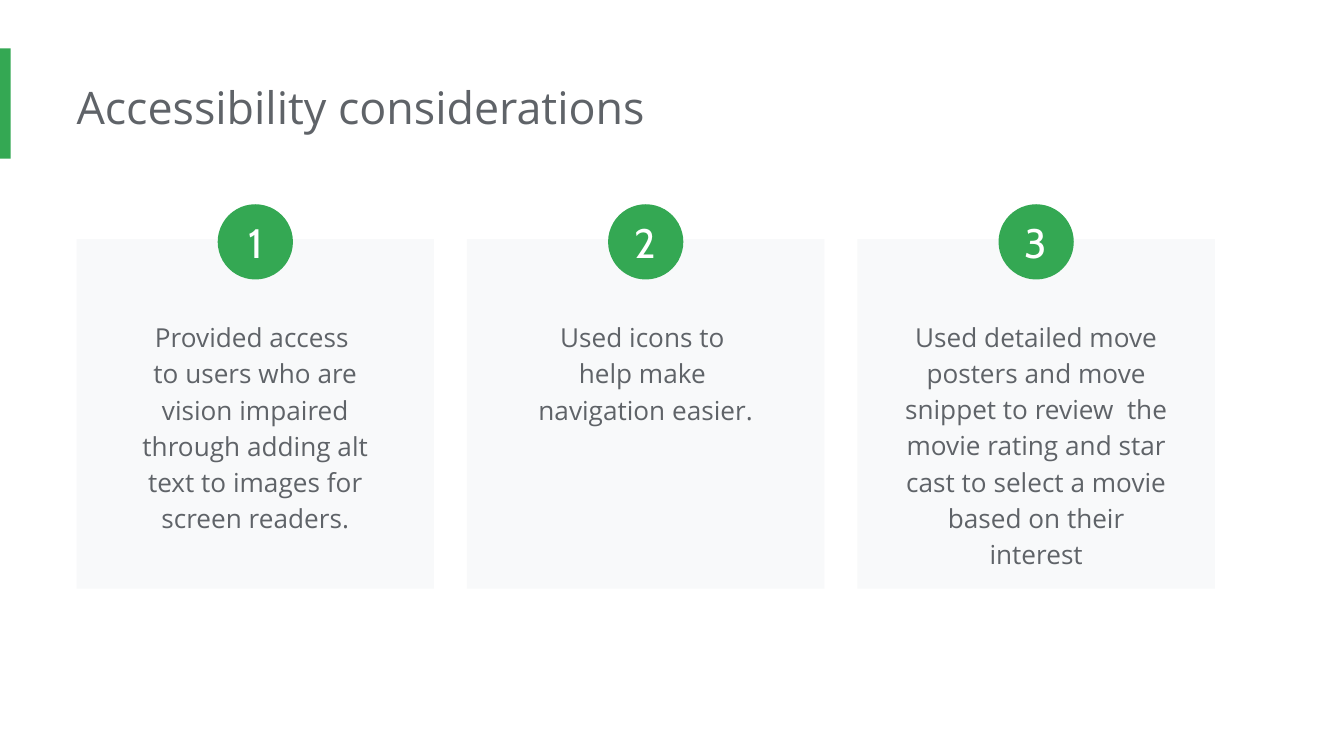
from copy import deepcopy

from pptx import Presentation
from pptx.dml.color import RGBColor
from pptx.enum.shapes import MSO_SHAPE
from pptx.enum.text import MSO_ANCHOR, PP_ALIGN
from pptx.oxml.ns import qn
from pptx.util import Inches, Pt

GREEN, GREY, PALE, WHITE = "34A853", "5F6368", "F8F9FA", "FFFFFF"


def add_block(kind, left, top, width, height, fill):
    block = slide.shapes.add_shape(
        kind, Inches(left), Inches(top), Inches(width), Inches(height))
    block.shadow.inherit = False
    block.fill.solid()
    block.fill.fore_color.rgb = RGBColor.from_string(fill)
    block.line.fill.background()
    return block


def set_text(shape, text, font, size, color, inset=0.1, left=0.1):
    """Fill a shape with one styled paragraph and return the paragraph."""
    frame = shape.text_frame
    frame.word_wrap = True
    frame.margin_left = Inches(left)
    frame.margin_top = frame.margin_right = frame.margin_bottom = Inches(inset)
    para = frame.paragraphs[0]
    para.text = text
    for run in para.runs:
        run.font.name = font
        run.font.size = Pt(size)
        run.font.color.rgb = RGBColor.from_string(color)
    # Line breaks need the run style too, or they enlarge their line
    for mark in para._p.findall(qn("a:br")):
        mark.append(deepcopy(para.runs[0]._r.rPr))
    return para


deck = Presentation()
deck.slide_width = Inches(10)
deck.slide_height = Inches(10 * 9 / 16)
slide = deck.slides.add_slide(deck.slide_layouts[6])

add_block(MSO_SHAPE.RECTANGLE, 0, 0.36, 0.08, 0.82, GREEN)
title = slide.shapes.add_textbox(
    Inches(0.57), Inches(0.49), Inches(7.66), Inches(0.61))
set_text(title, "Accessibility considerations", "Open Sans", 24, GREY, left=0)

# Card text and the height of its box
cards = [
    ("Provided access \nto users who are vision impaired through adding alt "
     "text to images for screen readers.", 1.79),
    ("Used icons to \nhelp make \nnavigation easier.", 0.98),
    ("Used detailed move posters and move snippet to review  the movie rating "
     "and star cast to select a movie based on their interest", 2.1),
]
card_w, text_w, dot = 2.66, 2.24, 0.56
first, last = 0.57, 6.38
pitch = (last - first) / (len(cards) - 1)

for i, (text, height) in enumerate(cards):
    left = first + i * pitch
    add_block(MSO_SHAPE.RECTANGLE, left, 1.78, card_w, 2.6, PALE)
    body = slide.shapes.add_textbox(
        Inches(left + (card_w - text_w) / 2), Inches(2.26),
        Inches(text_w), Inches(height))
    para = set_text(body, text, "Open Sans", 14, GREY)
    para.alignment = PP_ALIGN.CENTER
    para.line_spacing = 1.15

    badge = add_block(MSO_SHAPE.OVAL, left + (card_w - dot) / 2, 1.52,
                      dot, dot, GREEN)
    para = set_text(badge, str(i + 1), "Cabin", 22, WHITE, inset=0, left=0)
    para.alignment = PP_ALIGN.CENTER
    badge.text_frame.vertical_anchor = MSO_ANCHOR.MIDDLE

deck.save("out.pptx")
